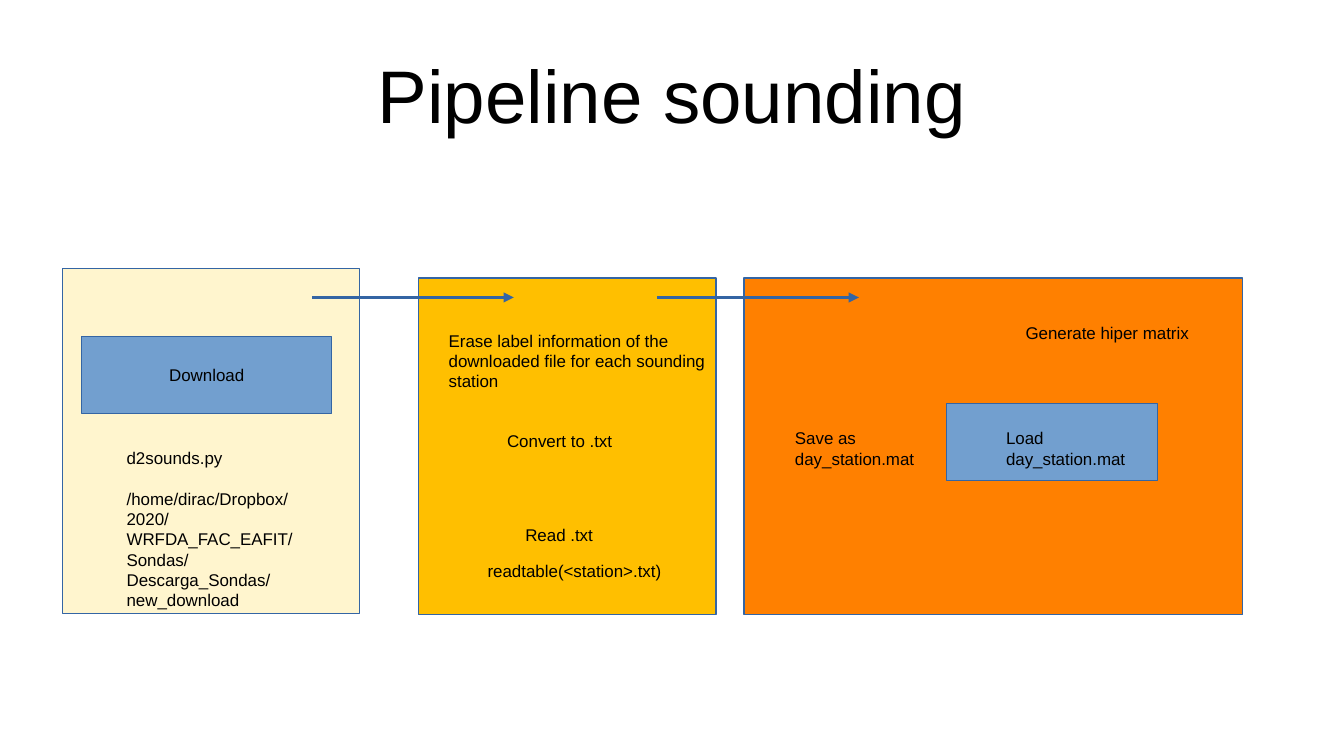
import pptx
import pptx.dml.color
import pptx.enum.shapes
import pptx.enum.text
import pptx.oxml
import pptx.oxml.ns
import pptx.util

THEME = {
    "font": "Arial", "title": 44, "body": 10, "text": "000000", "outline": "3465A4",
    "cream": "FFF5CE", "amber": "FFBF00", "orange": "FF8000", "blue": "729FCF",
}
ALIGN = pptx.enum.text.PP_ALIGN
ANCHOR = pptx.enum.text.MSO_ANCHOR

deck = pptx.Presentation()
deck.slide_width = pptx.util.Inches(11.02)
deck.slide_height = pptx.util.Inches(6.2)
page = deck.slides.add_slide(deck.slide_layouts[5])


def place(left, top, width, height):
    across, down = deck.slide_width / 100, deck.slide_height / 100
    return [round(length) for length in (left * across, top * down, width * across, height * down)]


def write(para, words, size, align):
    para.alignment = align
    span = para.add_run()
    span.text = words
    span.font.name = THEME["font"]
    span.font.size = pptx.util.Pt(size)
    span.font.color.rgb = pptx.dml.color.RGBColor.from_string(THEME["text"])


title = page.shapes.title
title.left, title.top, title.width, title.height = place(5, 4.03, 90, 16.8)
frame = title.text_frame
frame.margin_left = frame.margin_right = frame.margin_top = frame.margin_bottom = 0
frame.vertical_anchor = ANCHOR.MIDDLE
write(frame.paragraphs[0], "Pipeline sounding", THEME["title"], ALIGN.CENTER)

rectangles = [
    ("orange", 55.35, 36.77, 37.11, 44.52, ""),
    ("cream", 4.63, 35.48, 22.14, 45.65, ""),
    ("amber", 31.13, 36.77, 22.14, 44.52, ""),
    ("blue", 6.08, 44.52, 18.6, 10.16, "Download"),
    ("blue", 70.42, 53.39, 15.7, 10.16, ""),
]
for fill, left, top, width, height, words in rectangles:
    box = page.shapes.add_shape(
        pptx.enum.shapes.MSO_SHAPE.RECTANGLE, *place(left, top, width, height))
    box.shadow.inherit = False
    box.fill.solid()
    box.fill.fore_color.rgb = pptx.dml.color.RGBColor.from_string(THEME[fill])
    box.line.color.rgb = pptx.dml.color.RGBColor.from_string(THEME["outline"])
    box.line.width = pptx.util.Pt(0)
    if words:
        box.text_frame.vertical_anchor = ANCHOR.MIDDLE
        write(box.text_frame.paragraphs[0], words, THEME["body"], ALIGN.CENTER)

labels = [
    (58.26, 55.81, 10.75, 6.61, ["Save as day_station.mat"]),
    (73.96, 55.81, 11.43, 9.03, ["Load day_station.mat"]),
    (75.41, 41.94, 17.88, 9.03, ["Generate hiper matrix"]),
    (8.53, 58.39, 15.34, 21.61, [
        "d2sounds.py",
        "/home/dirac/Dropbox/2020/WRFDA_FAC_EAFIT/Sondas/Descarga_Sondas/new_download"]),
    (32.49, 42.9, 22.14, 9.03, [
        "Erase label information of the downloaded file for each sounding station"]),
    (36.84, 56.13, 12.16, 6.29, ["Convert to .txt"]),
    (38.2, 68.55, 7.89, 6.29, ["Read .txt"]),
    (35.39, 73.39, 14.97, 7.9, ["readtable(<station>.txt)"]),
]
for left, top, width, height, lines in labels:
    box = page.shapes.add_textbox(*place(left, top, width, height))
    frame = box.text_frame
    frame.word_wrap = True
    for index, words in enumerate(lines):
        para = frame.add_paragraph() if index else frame.paragraphs[0]
        para.space_before = pptx.util.Pt(12 if index else 0)
        write(para, words, THEME["body"], ALIGN.LEFT)

for start in (23.23, 48.91):
    left, top, width, height = place(start, 39.35, 15, 0)
    arrow = page.shapes.add_connector(
        pptx.enum.shapes.MSO_CONNECTOR.STRAIGHT, left, top, left + width, top)
    arrow.line.color.rgb = pptx.dml.color.RGBColor.from_string(THEME["outline"])
    arrow.line.width = pptx.util.Pt(0)
    outline = arrow.line._get_or_add_ln()
    outline.append(pptx.oxml.parse_xml(
        f'<a:tailEnd {pptx.oxml.ns.nsdecls("a")} type="triangle"/>'))
    outline.addnext(pptx.oxml.parse_xml(f'<a:effectLst {pptx.oxml.ns.nsdecls("a")}/>'))

deck.save("out.pptx")
